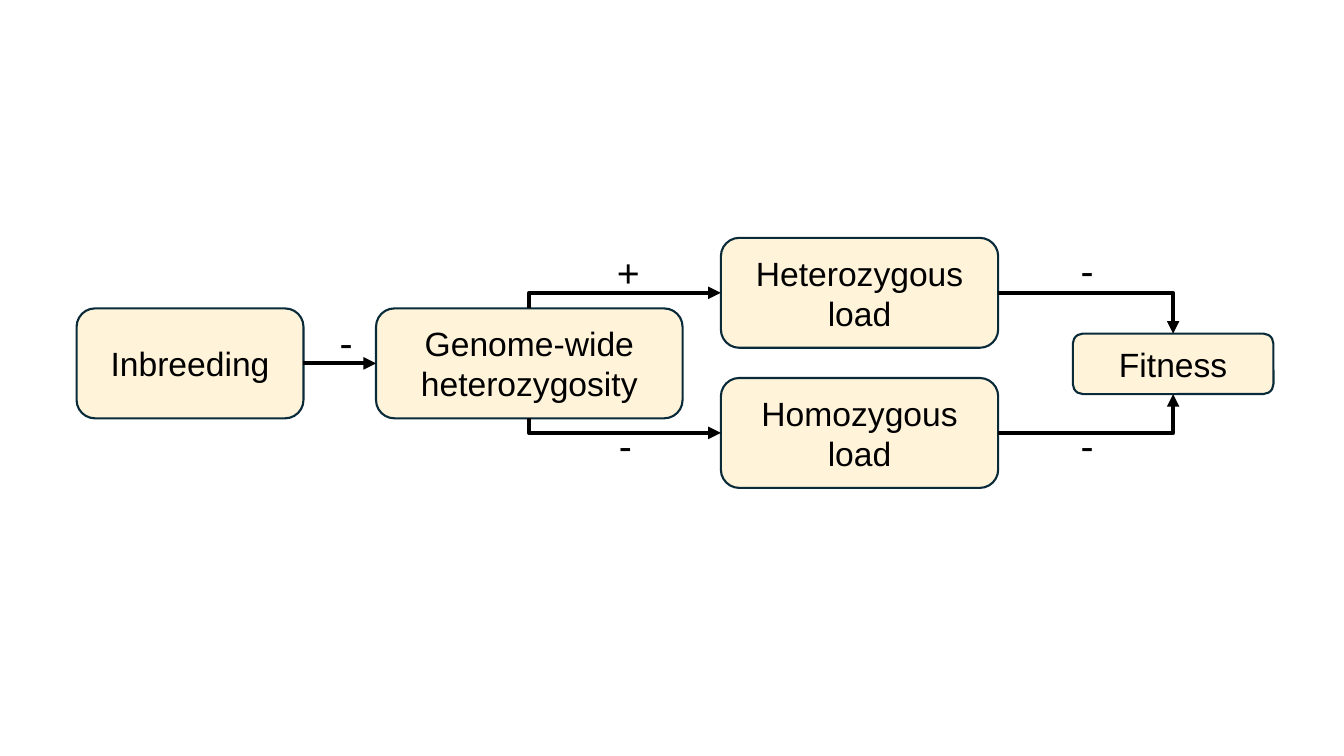
"""Build a path diagram linking inbreeding to fitness."""
from lxml import etree
from pptx import Presentation
from pptx import util as u
from pptx.dml.color import RGBColor
from pptx.enum import shapes, text
from pptx.oxml.ns import qn

COLOURS = {"fill": "FFF3DA", "outline": "092A39", "ink": "000000"}
TOP, LEFT, BOTTOM, RIGHT = range(4)
BOX_HEIGHT = 1.09
BOXES = {
    "Inbreeding": (0.76, 3.06, 2.25, BOX_HEIGHT),
    "Genome-wide heterozygosity": (3.73, 3.06, 3.04, BOX_HEIGHT),
    "Homozygous load": (7.15, 3.75, 2.75, BOX_HEIGHT),
    "Heterozygous load": (7.15, 2.36, 2.75, BOX_HEIGHT),
    "Fitness": (10.64, 3.31, 1.99, 0.6),
}
ELBOWS = [
    ("Heterozygous load", RIGHT, "Fitness", TOP, "tailEnd"),
    ("Homozygous load", RIGHT, "Fitness", BOTTOM, "tailEnd"),
    ("Heterozygous load", LEFT, "Genome-wide heterozygosity", TOP, "headEnd"),
    ("Homozygous load", LEFT, "Genome-wide heterozygosity", BOTTOM, "headEnd"),
]
SIGNS = [
    ("-", 3.27, 3.11),
    ("+", 6.02, 2.41),
    ("-", 6.04, 4.13),
    ("-", 10.62, 4.13),
    ("-", 10.62, 2.39),
]


def colour(name):
    """Return the named colour."""
    return RGBColor.from_string(COLOURS[name])


def write(frame, words, size=24, align=text.PP_ALIGN.CENTER, anchor=text.MSO_ANCHOR.MIDDLE):
    """Put formatted words in a text frame."""
    frame.word_wrap = True
    frame.vertical_anchor = anchor
    para = frame.paragraphs[0]
    para.alignment = align
    span = para.add_run()
    span.text = words
    span.font.name = "Arial"
    span.font.size = u.Pt(size)
    span.font.color.rgb = colour("ink")


def add_box(page, words, bounds):
    """Add a rounded box with centred words."""
    box = page.shapes.add_shape(
        shapes.MSO_SHAPE.ROUNDED_RECTANGLE, *map(u.Inches, bounds))
    box.shadow.inherit = False
    box.fill.solid()
    box.fill.fore_color.rgb = colour("fill")
    box.line.color.rgb = colour("outline")
    box.line.width = u.Pt(1.5)
    write(box.text_frame, words)
    return box


def add_arrow(page, start, start_side, end, end_side, tip="tailEnd", bent=True):
    """Join two boxes with a straight or single-bend arrow."""
    kind = shapes.MSO_CONNECTOR.ELBOW if bent else shapes.MSO_CONNECTOR.STRAIGHT
    arrow = page.shapes.add_connector(kind, 0, 0, 0, 0)
    arrow.begin_connect(start, start_side)
    arrow.end_connect(end, end_side)
    arrow.line.color.rgb = colour("ink")
    arrow.line.width = u.Pt(3)
    properties = arrow._element.spPr
    if bent:
        properties.find(qn("a:prstGeom")).set("prst", "bentConnector2")
    etree.SubElement(arrow.line._get_or_add_ln(), qn(f"a:{tip}"), type="triangle")
    etree.SubElement(properties, qn("a:effectLst"))


def add_sign(page, sign, left, top):
    """Add the sign of an effect beside its arrow."""
    box = page.shapes.add_textbox(*map(u.Inches, (left, top, 0.4, 0.57)))
    write(box.text_frame, sign, size=28, align=text.PP_ALIGN.LEFT,
          anchor=text.MSO_ANCHOR.TOP)


def main():
    """Draw the diagram and save the deck."""
    deck = Presentation()
    deck.slide_width, deck.slide_height = u.Inches(13.33), u.Inches(7.5)
    page = deck.slides.add_slide(deck.slide_layouts[6])
    boxes = {words: add_box(page, words, bounds) for words, bounds in BOXES.items()}
    for start, start_side, end, end_side, tip in ELBOWS:
        add_arrow(page, boxes[start], start_side, boxes[end], end_side, tip=tip)
    add_arrow(page, boxes["Inbreeding"], RIGHT,
              boxes["Genome-wide heterozygosity"], LEFT, bent=False)
    for sign in SIGNS:
        add_sign(page, *sign)
    deck.save("out.pptx")


if __name__ == "__main__":
    main()
